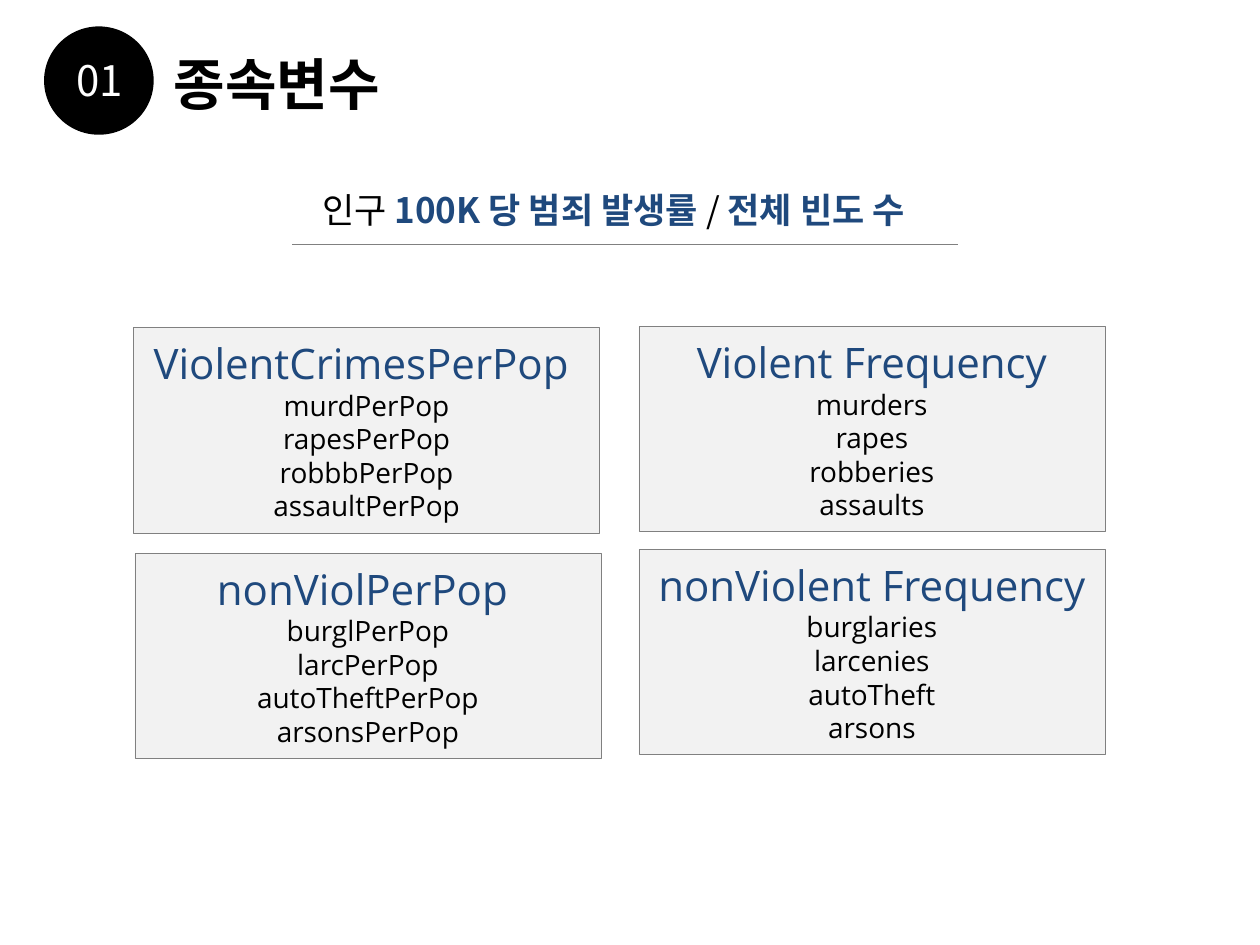
"""Build the dependent-variable slide with its four crime groups."""
from dataclasses import dataclass

from lxml import etree
from pptx import Presentation
from pptx import util as u
from pptx.dml.color import RGBColor
from pptx.enum import shapes, text
from pptx.oxml.ns import qn


@dataclass(frozen=True)
class Theme:
    korean: str = "Noto Sans CJK KR"
    latin: str = "Open Sans"
    black: str = "000000"
    white: str = "FFFFFF"
    accent: str = "1F497D"
    panel: str = "F2F2F2"
    border: str = "808080"
    title: int = 32
    heading: int = 24
    lead: int = 20
    body: int = 16


class Deck:
    def __init__(self, theme):
        self.theme = theme
        self.prs = Presentation()
        self.prs.slide_width, self.prs.slide_height = u.Inches(10), u.Inches(7.5)
        self.slide = self.prs.slides.add_slide(self.prs.slide_layouts[5])

    def style(self, p, size, color, font, bold=False, align=text.PP_ALIGN.CENTER):
        p.alignment = align
        p.font.size, p.font.bold, p.font.name = u.Pt(size), bold, font
        p.font.color.rgb = RGBColor.from_string(color)
        props = p._p.pPr.find(qn("a:defRPr"))
        etree.SubElement(props, qn("a:ea")).set("typeface", font)

    def title(self, words, box):
        sp = self.slide.shapes.title
        sp.left, sp.top, sp.width, sp.height = map(u.Inches, box)
        tf = sp.text_frame
        tf.text = words
        tf.vertical_anchor = text.MSO_ANCHOR.TOP
        tf.auto_size = text.MSO_AUTO_SIZE.SHAPE_TO_FIT_TEXT
        t = self.theme
        self.style(tf.paragraphs[0], t.title, t.black, t.korean, True, text.PP_ALIGN.LEFT)

    def label(self, runs, box, size, color):
        tf = self.slide.shapes.add_textbox(*map(u.Inches, box)).text_frame
        tf.word_wrap = True
        tf.auto_size = text.MSO_AUTO_SIZE.SHAPE_TO_FIT_TEXT
        p = tf.paragraphs[0]
        self.style(p, size, color, self.theme.korean)
        for words, strong in runs:
            r = p.add_run()
            r.text = words
            if strong:
                r.font.bold = True
                r.font.color.rgb = RGBColor.from_string(self.theme.accent)

    def shape(self, kind, box, fill, line=None):
        sp = self.slide.shapes.add_shape(kind, *map(u.Inches, box))
        sp.shadow.inherit = False
        sp.fill.solid()
        sp.fill.fore_color.rgb = RGBColor.from_string(fill)
        if line:
            sp.line.color.rgb = RGBColor.from_string(line)
            sp.line.width = u.Pt(0.25)
        else:
            sp.line.fill.background()
        return sp

    def panel(self, box, heading, items):
        t = self.theme
        tf = self.shape(shapes.MSO_SHAPE.RECTANGLE, box, t.panel, t.border).text_frame
        tf.word_wrap = True
        tf.vertical_anchor = text.MSO_ANCHOR.MIDDLE
        tf.text = "\n".join([heading, *items])
        self.style(tf.paragraphs[0], t.heading, t.accent, t.latin)
        for p in tf.paragraphs[1:]:
            self.style(p, t.body, t.black, t.latin)

    def rule(self, left, right, y):
        line = self.slide.shapes.add_connector(
            shapes.MSO_CONNECTOR.STRAIGHT, *map(u.Inches, (left, y, right, y)))
        line.line.color.rgb = RGBColor.from_string(self.theme.border)
        line.line.width = u.Pt(0.75)
        etree.SubElement(line._element.spPr, qn("a:effectLst"))


PANEL_SIZE = (3.7, 1.63)
PANELS = [
    ((1.06, 2.6), "ViolentCrimesPerPop ",
     ["murdPerPop", "rapesPerPop", "robbbPerPop", "assaultPerPop"]),
    ((1.07, 4.39), "nonViolPerPop ",
     ["burglPerPop", "larcPerPop", "autoTheftPerPop", "arsonsPerPop"]),
    ((5.07, 2.59), "Violent Frequency",
     ["murders", "rapes", "robberies", "assaults"]),
    ((5.07, 4.36), "nonViolent Frequency",
     ["burglaries", "larcenies", "autoTheft", "arsons"]),
]
LEAD = [("인구 ", False), ("100K 당 범죄 발생률 ", True), ("/ ", False), ("전체 빈도 수", True)]


def main():
    theme = Theme()
    deck = Deck(theme)
    deck.title("종속변수", (1.28, 0.34, 3.42, 0.64))
    deck.label(LEAD, (0.97, 1.45, 7.8, 0.44), theme.lead, theme.black)
    deck.rule(2.32, 7.6, 1.94)
    for corner, heading, items in PANELS:
        deck.panel(corner + PANEL_SIZE, heading, items)
    deck.shape(shapes.MSO_SHAPE.OVAL, (0.35, 0.21, 0.87, 0.86), theme.black)
    deck.label([("01", False)], (0.2, 0.38, 1.18, 0.5), theme.heading, theme.white)
    deck.prs.save("out.pptx")


if __name__ == "__main__":
    main()
